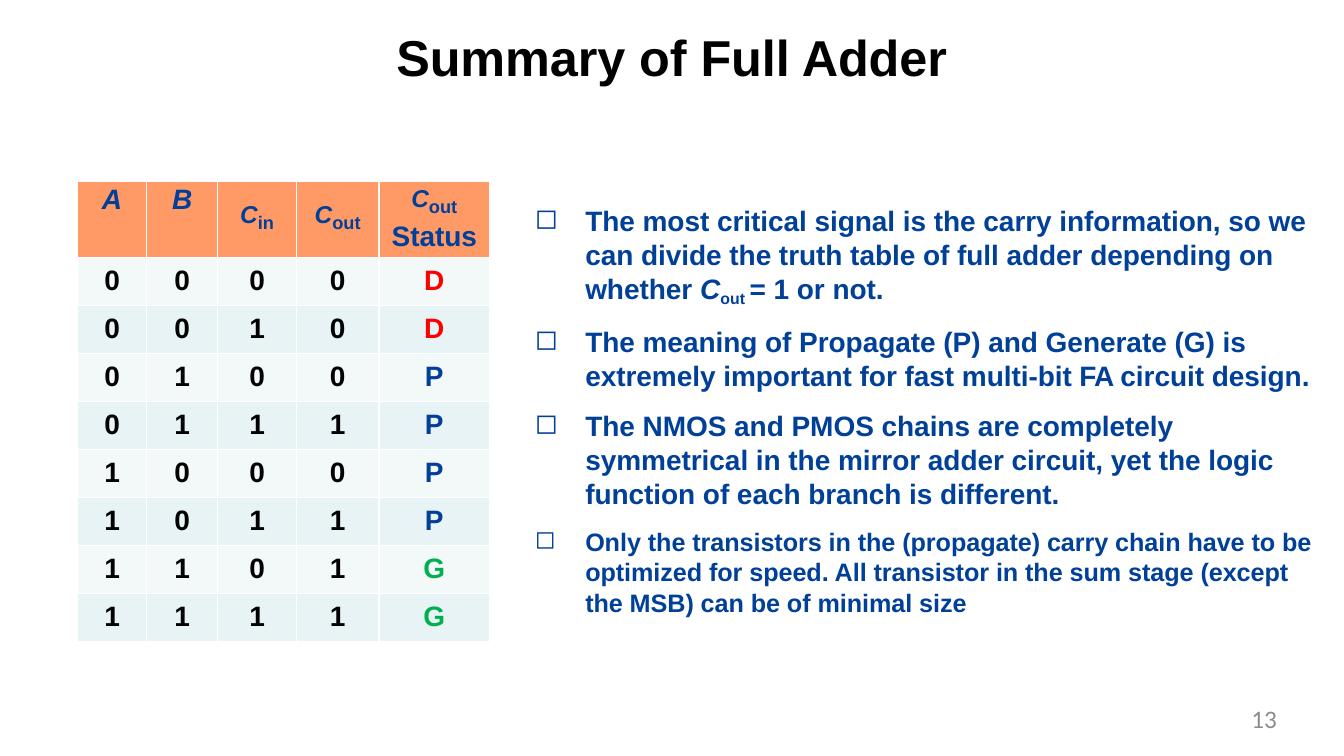
from dataclasses import dataclass, field
from typing import Any

from pptx import Presentation
from pptx.dml.color import RGBColor as Color
from pptx.enum.text import MSO_ANCHOR as Anchor, PP_ALIGN as Align
from pptx.oxml.xmlchemy import OxmlElement as new_element
from pptx.util import Cm, Pt


@dataclass(frozen=True)
class Theme:
    """Colours and type sizes of the slide."""
    face: str = "Arial"
    number_face: str = "Calibri"
    black: str = "000000"
    white: str = "FFFFFF"
    blue: str = "004099"
    red: str = "FF0000"
    green: str = "00AF50"
    grey: str = "8C8C8C"
    header: str = "FF9966"
    bands: tuple[str, str] = ("F3F8F9", "E7F3F4")
    title: float = 36
    body: float = 20
    small: float = 18
    symbol: float = 30
    header_subscript: float = 13
    body_subscript: float = 19.5


THEME = Theme()


@dataclass(frozen=True)
class Span:
    """A run of text; baseline in thousandths of a percent, tracking in 1/100 pt."""
    text: str
    size: float = THEME.body
    color: str = THEME.blue
    face: str = THEME.face
    bold: bool = True
    italic: bool = False
    baseline: int = 0
    tracking: int = 0


@dataclass(frozen=True)
class Line:
    """A paragraph: its spans and paragraph attributes."""
    spans: list[Span]
    format: dict[str, Any] = field(default_factory=dict)
    bullet: str = ""


@dataclass(frozen=True)
class Block:
    """A text box placed in centimetres."""
    left: float
    top: float
    width: float
    height: float
    lines: list[Line]
    wrap: bool = True


CENTERED = {"alignment": Align.CENTER}
TIGHT = {"alignment": Align.CENTER, "line_spacing": Pt(21.6)}
INDENT, HANGING = Cm(1.47), Cm(-1.27)
COLUMN_WIDTHS = (1.73, 1.8, 1.98, 2.08, 2.79)
HEADER_HEIGHT, ROW_HEIGHT = 1.94, 1.21
STATUS_COLORS = {"D": THEME.red, "P": THEME.blue, "G": THEME.green}
TRUTH_ROWS = ("0000D", "0010D", "0100P", "0111P", "1000P", "1011P", "1101G", "1111G")


def prose(text: str, size: float = THEME.body) -> Span:
    """Return a body span with slightly tightened letters."""
    return Span(text, size, tracking=-5)


def carry(subscript: str) -> list[Span]:
    """Return the header symbol C with its subscript."""
    return [Span("C", THEME.symbol, italic=True, baseline=14000, tracking=5),
            Span(subscript, THEME.header_subscript, tracking=5)]


POINTS = [
    [prose("The most critical signal is the carry information, so we can divide "
           "the truth table of full adder depending on whether "),
     Span("C", italic=True, tracking=5),
     Span("out ", THEME.body_subscript, baseline=-21000, tracking=5),
     prose("= 1 or not.")],
    [prose("The meaning of Propagate (P) and Generate (G) is extremely important "
           "for fast multi-bit "),
     Span("FA ", tracking=-60), prose("circuit design.")],
    [prose("The NMOS and PMOS chains are completely symmetrical in the mirror adder "
           "circuit, yet the logic function of each branch is different.")],
    [prose("Only the transistors in the (propagate) carry chain have to be optimized "
           "for speed. All transistor in the sum stage (except the MSB) can be of "
           "minimal size", THEME.small)],
]

HEADERS = [
    (0.1, [Line([Span("A", italic=True)], CENTERED)]),
    (0.1, [Line([Span("B", italic=True)], CENTERED)]),
    (0.28, [Line(carry("in"), CENTERED)]),
    (0.28, [Line(carry("out"), CENTERED)]),
    (0.28, [Line(carry("out"), TIGHT), Line([prose("Status")], TIGHT)]),
]

BLOCKS = [
    Block(9.93, 0.64, 14, 1.6, [Line(
        [Span("Summary of Full Adder", THEME.title, THEME.black, tracking=-5)], CENTERED)],
        wrap=False),
    Block(13.28, 5.11, 20.14, 10.41, [
        Line(spans, {"space_before": Pt(12)} if index else {}, "◻")
        for index, spans in enumerate(POINTS)]),
    Block(24.38, 17.7, 7.8, 0.97, [Line(
        [Span("13", THEME.small, THEME.grey, THEME.number_face, bold=False)],
        {"alignment": Align.RIGHT})]),
]


def set_all(target: Any, values: dict[str, Any]) -> None:
    """Set each named attribute on the target."""
    for name, value in values.items():
        setattr(target, name, value)


def write_lines(frame: Any, lines: list[Line]) -> None:
    """Write formatted paragraphs into a text frame."""
    for index, line in enumerate(lines):
        para = frame.paragraphs[0] if index == 0 else frame.add_paragraph()
        if line.bullet:
            properties = para._p.get_or_add_pPr()
            set_margins = {"marL": INDENT, "indent": HANGING}
            for name, value in set_margins.items():
                properties.set(name, str(int(value)))
            mark = new_element("a:buChar")
            mark.set("char", line.bullet)
            properties.append(mark)
        set_all(para, line.format)
        for span in line.spans:
            run = para.add_run()
            run.text = span.text
            set_all(run.font, {"name": span.face, "size": Pt(span.size),
                               "bold": span.bold, "italic": span.italic})
            run.font.color.rgb = Color.from_string(span.color)
            for name, value in (("baseline", span.baseline), ("spc", span.tracking)):
                if value:
                    run._r.get_or_add_rPr().set(name, str(value))


def draw_block(page: Any, block: Block) -> None:
    """Draw one text box."""
    box = page.shapes.add_textbox(
        *map(Cm, (block.left, block.top, block.width, block.height)))
    set_all(box.text_frame, {"word_wrap": block.wrap, "margin_left": 0, "margin_right": 0,
                             "margin_top": Cm(0.03), "margin_bottom": 0})
    write_lines(box.text_frame, block.lines)


def draw_borders(cell: Any, top_width: float) -> None:
    """Give a cell white borders, placed ahead of its fill."""
    properties = cell._tc.get_or_add_tcPr()
    widths = {"a:lnL": 1, "a:lnR": 1, "a:lnT": top_width, "a:lnB": 1}
    for index, (tag, width) in enumerate(widths.items()):
        edge, fill, color = map(new_element, (tag, "a:solidFill", "a:srgbClr"))
        edge.set("w", str(int(Pt(width))))
        color.set("val", THEME.white)
        fill.append(color)
        edge.append(fill)
        properties.insert(index, edge)


def fill_cell(cell: Any, fill: str, inset: float, lines: list[Line], top_width: float = 1) -> None:
    """Fill one table cell with colour, borders and text."""
    set_all(cell, {"margin_left": 0, "margin_right": 0, "margin_top": Cm(inset),
                   "margin_bottom": 0, "vertical_anchor": Anchor.TOP})
    cell.fill.solid()
    cell.fill.fore_color.rgb = Color.from_string(fill)
    draw_borders(cell, top_width)
    write_lines(cell.text_frame, lines)


def draw_truth_table(page: Any) -> None:
    """Draw the full adder truth table."""
    count = len(TRUTH_ROWS)
    table = page.shapes.add_table(
        count + 1, len(COLUMN_WIDTHS), Cm(1.96), Cm(4.55),
        Cm(sum(COLUMN_WIDTHS)), Cm(HEADER_HEIGHT + count * ROW_HEIGHT)).table
    for column, width in zip(table.columns, COLUMN_WIDTHS):
        column.width = Cm(width)
    for index, row in enumerate(table.rows):
        row.height = Cm(ROW_HEIGHT if index else HEADER_HEIGHT)
    for column, (inset, lines) in enumerate(HEADERS):
        fill_cell(table.cell(0, column), THEME.header, inset, lines, top_width=3)
    for index, values in enumerate(TRUTH_ROWS):
        for column, value in enumerate(values):
            span = Span(value, color=STATUS_COLORS.get(value, THEME.black))
            fill_cell(table.cell(index + 1, column), THEME.bands[index % 2], 0.18,
                      [Line([span], CENTERED)])


def main() -> None:
    """Build and save the slide."""
    deck = Presentation()
    set_all(deck, {"slide_width": Cm(33.87), "slide_height": Cm(19.05)})
    page = deck.slides.add_slide(deck.slide_layouts[6])
    draw_truth_table(page)
    for block in BLOCKS:
        draw_block(page, block)
    deck.save("out.pptx")


if __name__ == "__main__":
    main()
